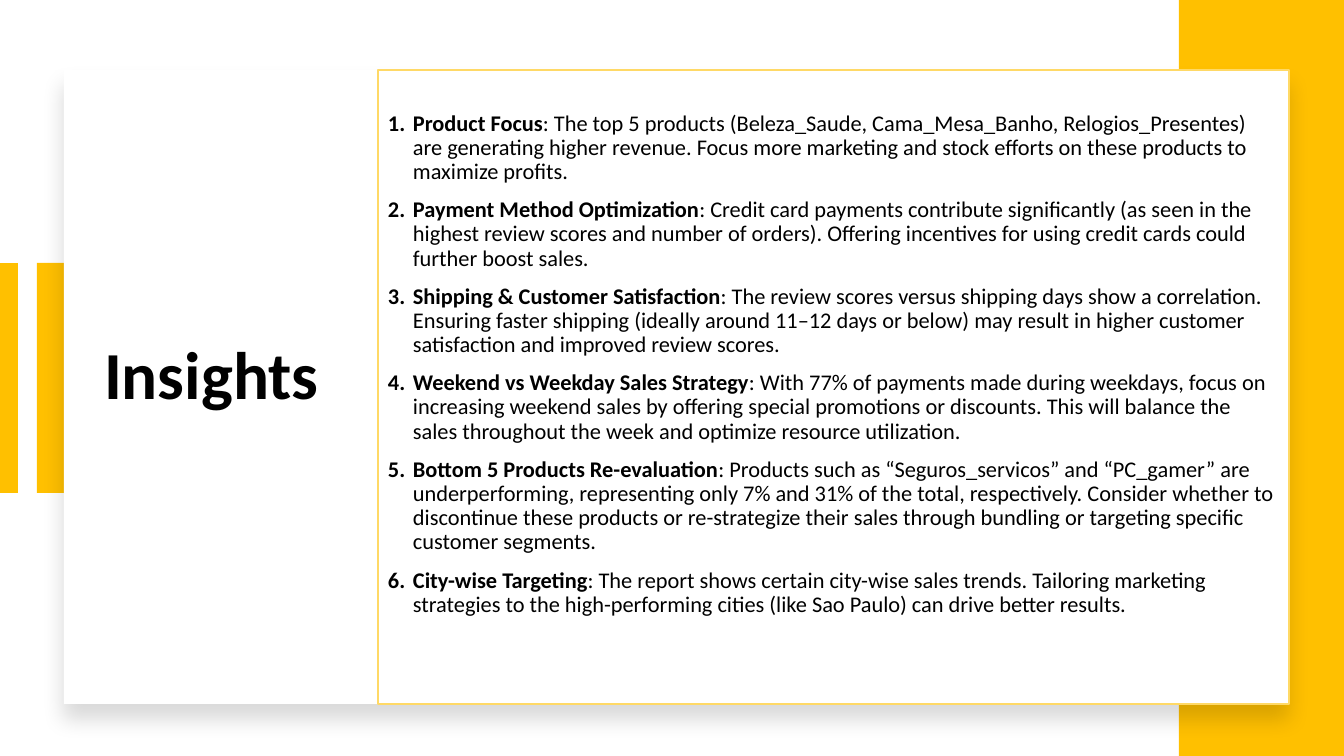
from dataclasses import dataclass

from lxml.etree import SubElement
from pptx import Presentation
from pptx.dml.color import RGBColor as RGB
from pptx.enum.shapes import MSO_CONNECTOR as CONNECTOR, MSO_SHAPE as SHAPE
from pptx.enum.text import MSO_ANCHOR as ANCHOR, MSO_AUTO_SIZE as AUTO, PP_ALIGN as ALIGN
from pptx.oxml import parse_xml
from pptx.oxml.ns import nsdecls, qn
from pptx.util import Emu, Pt


@dataclass(frozen=True)
class Theme:
    font: str = "Calibri"
    accent: RGB = RGB(0xFF, 0xC0, 0x00)
    outline: RGB = RGB(0xFF, 0xD9, 0x66)
    paper: RGB = RGB(0xFF, 0xFF, 0xFF)
    ink: RGB = RGB(0, 0, 0)
    title: int = 48
    body: int = 16


theme = Theme()
INSIGHTS = [
    ("Product Focus",
     ": The top 5 products (Beleza_Saude, Cama_Mesa_Banho, Relogios_Presentes) are generating "
     "higher revenue. Focus more marketing and stock efforts on these products to maximize profits."),
    ("Payment Method Optimization",
     ": Credit card payments contribute significantly (as seen in the highest review scores and "
     "number of orders). Offering incentives for using credit cards could further boost sales."),
    ("Shipping & Customer Satisfaction",
     ": The review scores versus shipping days show a correlation. Ensuring faster shipping "
     "(ideally around 11–12 days or below) may result in higher customer satisfaction and "
     "improved review scores."),
    ("Weekend vs Weekday Sales Strategy",
     ": With 77% of payments made during weekdays, focus on increasing weekend sales by offering "
     "special promotions or discounts. This will balance the sales throughout the week and "
     "optimize resource utilization."),
    ("Bottom 5 Products Re-evaluation",
     ": Products such as “Seguros_servicos” and “PC_gamer” are underperforming, representing only "
     "7% and 31% of the total, respectively. Consider whether to discontinue these products or "
     "re-strategize their sales through bundling or targeting specific customer segments."),
    ("City-wise Targeting",
     ": The report shows certain city-wise sales trends. Tailoring marketing strategies to the "
     "high-performing cities (like Sao Paulo) can drive better results."),
]


def px(n):
    """Convert pixels, 100.8 to the inch, to EMU."""
    return Emu(round(n * 914400 / 100.8))


def style_run(r, size, bold):
    r.font.name, r.font.size, r.font.bold = theme.font, Pt(size), bold
    r.font.color.rgb = theme.ink


prs = Presentation()
prs.slide_width, prs.slide_height = px(1344), px(756)
s = prs.slides.add_slide(prs.slide_layouts[5])

# Accent bars and the white card
bars = [
    (37, 263, 35, 230, theme.accent),
    (1179, 0, 165, 756, theme.accent),
    (64, 70, 1225, 634, theme.paper),
]
for left, top, width, height, color in bars:
    card = s.shapes.add_shape(SHAPE.RECTANGLE, px(left), px(top), px(width), px(height))
    card.shadow.inherit = False
    card.fill.solid()
    card.fill.fore_color.rgb = color
    card.line.fill.background()

card.shadow.inherit = True
card._element.spPr.append(parse_xml(
    f'<a:effectLst {nsdecls("a")}>'
    f'<a:outerShdw blurRad="{Pt(15)}" dist="{Pt(11)}" dir="5400000" algn="t" rotWithShape="0">'
    f'<a:srgbClr val="{theme.ink}"><a:alpha val="15000"/></a:srgbClr>'
    '</a:outerShdw></a:effectLst>'))

edge = s.shapes.add_connector(CONNECTOR.STRAIGHT, px(8), px(263), px(8), px(493))
edge.line.color.rgb = theme.accent
edge.line.width = Pt(14)
SubElement(edge._element.spPr, qn("a:effectLst"))

# Title, brought in front of the card
title = s.shapes.title
s.shapes._spTree.append(title._element)
title.left, title.top, title.width, title.height = px(94), px(222), px(285), px(311)
tf = title.text_frame
tf.text = "Insights"
tf.vertical_anchor, tf.auto_size = ANCHOR.MIDDLE, AUTO.NONE
p = tf.paragraphs[0]
p.alignment, p.line_spacing = ALIGN.LEFT, 0.9
style_run(p.runs[0], theme.title, True)

# Numbered insights
panel = s.shapes.add_textbox(px(378), px(70), px(911), px(634))
panel.line.color.rgb = theme.outline
panel.line.width = Pt(1.5)
tf = panel.text_frame
tf.word_wrap, tf.auto_size = True, AUTO.NONE
tf.vertical_anchor = ANCHOR.MIDDLE
tf.margin_left = tf.margin_right = px(10)
tf.margin_top, tf.margin_bottom = px(5), px(50)
for i, (heading, detail) in enumerate(INSIGHTS):
    p = tf.add_paragraph() if i else tf.paragraphs[0]
    p.line_spacing, p.space_before = 0.9, Pt(10)
    for text, bold in ((heading, True), (detail, False)):
        r = p.add_run()
        r.text = text
        style_run(r, theme.body, bold)
    pPr = p._p.get_or_add_pPr()
    pPr.set("marL", str(px(25)))
    pPr.set("indent", str(-px(25)))
    SubElement(pPr, qn("a:buFont"), typeface=theme.font)
    SubElement(pPr, qn("a:buAutoNum"), type="arabicPeriod")

prs.save("out.pptx")
